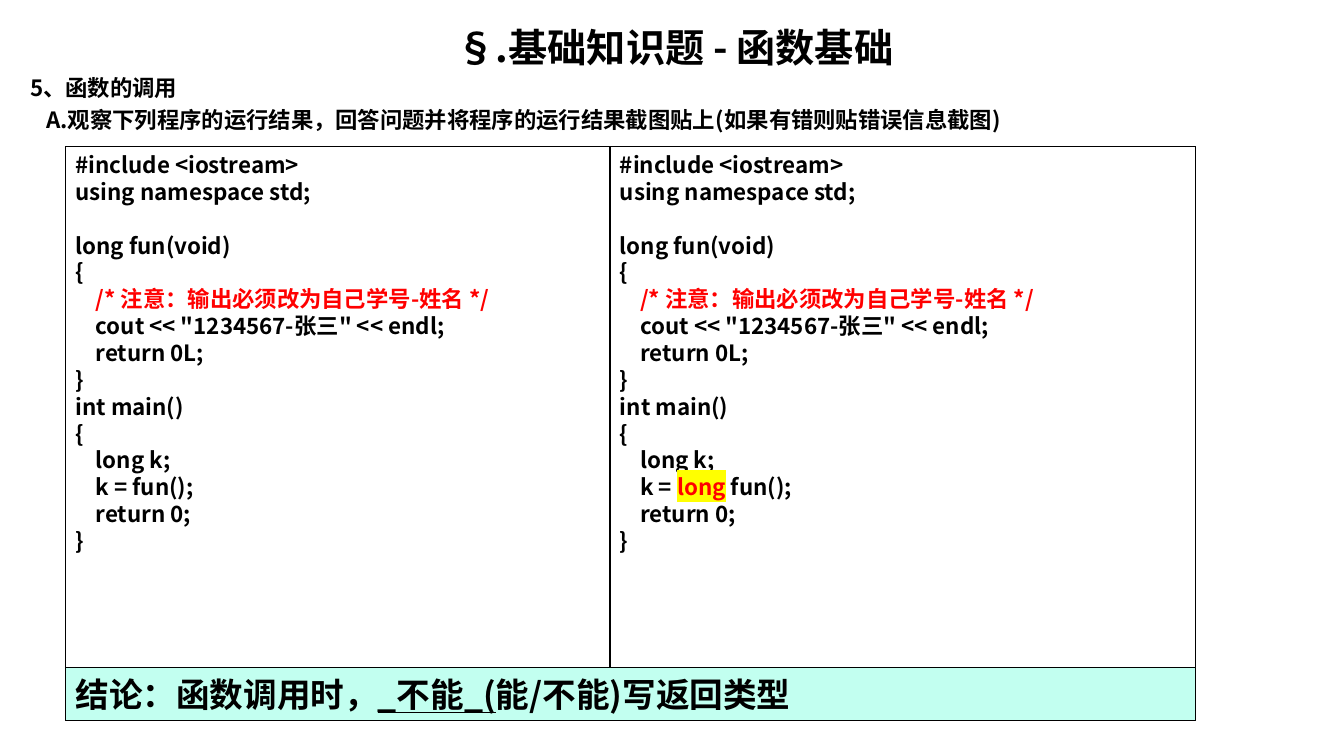
from lxml import etree
from pptx import Presentation
from pptx.dml.color import RGBColor
from pptx.enum.shapes import MSO_SHAPE as SHAPE
from pptx.enum.text import MSO_ANCHOR as ANCHOR, PP_ALIGN as ALIGN
from pptx.oxml.ns import qn
from pptx.util import Inches, Pt

FONT = "Noto Sans CJK SC"
BLACK, RED, YELLOW, MINT = "000000", "FF0000", "FFFF00", "C2FFF0"
LINE_FACTOR = 1.2


def rgb(value):
    return RGBColor.from_string(value)


def style(paragraph, size, color=BLACK):
    paragraph.line_spacing = Pt(size * LINE_FACTOR)
    font = paragraph.font
    font.name, font.size, font.bold = FONT, Pt(size), True
    font.color.rgb = rgb(color)
    latin = font._element.find(qn("a:latin"))
    east_asian = etree.Element(qn("a:ea"), typeface=FONT)
    latin.addnext(east_asian)


prs = Presentation()
prs.slide_width, prs.slide_height = Inches(13.33), Inches(7.5)
slide = prs.slides.add_slide(prs.slide_layouts[6])

# Title and question
heading = slide.shapes.add_textbox(
    Inches(0.2), Inches(0.18), Inches(12.99), Inches(1.25)).text_frame
heading.word_wrap = True
heading_lines = [
    ("§.基础知识题 - 函数基础", 28, ALIGN.CENTER, 0),
    ("5、函数的调用", 16, ALIGN.LEFT, 0),
    ("A.观察下列程序的运行结果，回答问题并将程序的运行结果截图贴上"
     "(如果有错则贴错误信息截图)", 16, ALIGN.LEFT, 0.16),
]
for i, (text, size, align, indent) in enumerate(heading_lines):
    line = heading.add_paragraph() if i else heading.paragraphs[0]
    line.text, line.alignment = text, align
    if i:
        line.space_before = Pt(size * 0.2)
    if indent:
        line._p.get_or_add_pPr().set("marL", str(Inches(indent)))
    style(line, size)

# Program listings, differing only in the call, and the conclusion bar
program = """#include <iostream>
using namespace std;

long fun(void)
{
    /* 注意：输出必须改为自己学号-姓名 */
    cout << "1234567-张三" << endl;
    return 0L;
}
int main()
{
    long k;
    k = |fun();
    return 0;
}"""
LEFT, TOP, WIDTH, HEIGHT = 0.65, 1.45, 11.21, 5.7
SPLIT, BAR_HEIGHT = 6.05, 0.53
RIGHT, BOTTOM = LEFT + WIDTH, TOP + HEIGHT
panels = [
    (LEFT, TOP, None, ANCHOR.TOP, program.replace("|", ""), 16),
    (SPLIT, TOP, None, ANCHOR.TOP, program.replace("|", "|long| "), 16),
    (LEFT, BOTTOM - BAR_HEIGHT, MINT, ANCHOR.MIDDLE,
     "结论：函数调用时，|_不能_(|能/不能)写返回类型", 24),
]
for left, top, fill, anchor, content, size in panels:
    panel = slide.shapes.add_shape(
        SHAPE.RECTANGLE, Inches(left), Inches(top),
        Inches(RIGHT - left), Inches(BOTTOM - top))
    panel.shadow.inherit = False
    panel.line.color.rgb, panel.line.width = rgb(BLACK), Pt(0.75)
    if fill:
        panel.fill.solid()
        panel.fill.fore_color.rgb = rgb(fill)
    else:
        panel.fill.background()
    frame = panel.text_frame
    frame.word_wrap, frame.vertical_anchor = True, anchor
    for i, text in enumerate(content.split("\n")):
        line = frame.add_paragraph() if i else frame.paragraphs[0]
        line.alignment = ALIGN.LEFT
        style(line, size, RED if "/*" in text else BLACK)
        # The part between bars is emphasised
        for j, part in enumerate(text.split("|")):
            run = line.add_run()
            run.text = part
            if j == 1 and fill:
                run.font.underline = True
            elif j == 1:
                run.font.color.rgb = rgb(RED)
                highlight = etree.Element(qn("a:highlight"))
                etree.SubElement(highlight, qn("a:srgbClr"), val=YELLOW)
                run.font._element.find(qn("a:solidFill")).addnext(highlight)

prs.save("out.pptx")
